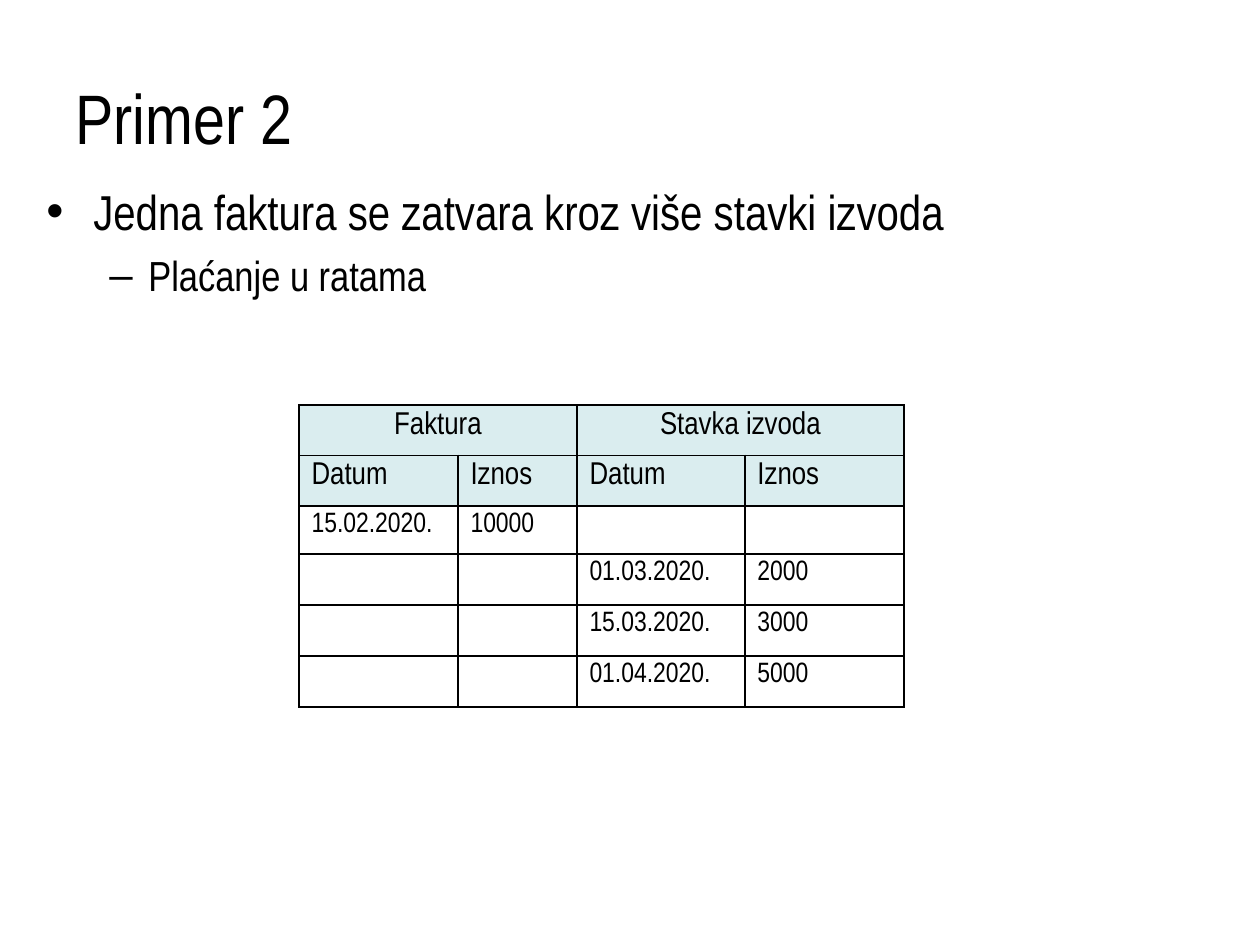
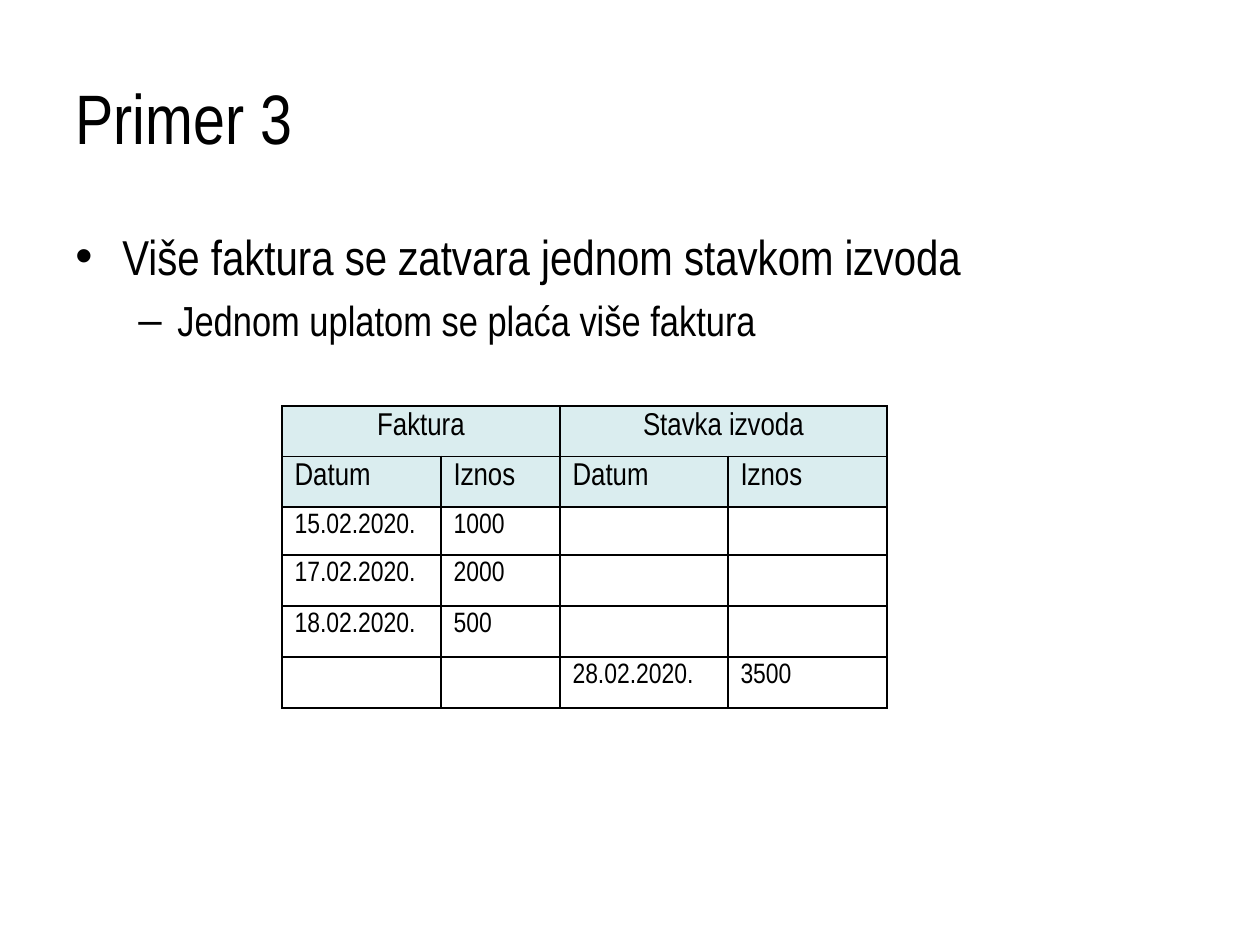
from lxml.etree import SubElement
from pptx import Presentation
from pptx.dml.color import RGBColor
from pptx.enum.text import MSO_ANCHOR as Anchor, PP_ALIGN as Align
from pptx.oxml.ns import qn
from pptx.util import Pt

PX = 914400 // 126
FONT = "Arial Narrow"
INK = "000000"
HEADER_FILL = "DAEDEF"
COLUMN_WIDTHS = [159, 119, 168, 159]
ROW_HEIGHTS = [50, 50, 48, 51, 51, 51]
HEADER_ROWS = [["Faktura", "", "Stavka izvoda", ""],
               ["Datum", "Iznos", "Datum", "Iznos"]]
# marker, left margin, first-line indent, text size, space before
BULLET_LEVELS = [("•", 47, -47, 28, 0), ("–", 102, -39, 24, 5.5)]

EXAMPLES = [
    {"title": "Primer 2",
     "bullets": ["Jedna faktura se zatvara kroz više stavki izvoda",
                 "Plaćanje u ratama"],
     "bullets_at": (34, 175),
     "table_at": (299, 405),
     "rows": [["15.02.2020.", "10000", "", ""],
              ["", "", "01.03.2020.", "2000"],
              ["", "", "15.03.2020.", "3000"],
              ["", "", "01.04.2020.", "5000"]]},
    {"title": "Primer 3",
     "bullets": ["Više faktura se zatvara jednom stavkom izvoda",
                 "Jednom uplatom se plaća više faktura"],
     "bullets_at": (63, 220),
     "table_at": (282, 406),
     "rows": [["15.02.2020.", "1000", "", ""],
              ["17.02.2020.", "2000", "", ""],
              ["18.02.2020.", "500", "", ""],
              ["", "", "28.02.2020.", "3500"]]},
]


def style_text(para, size, align=Align.LEFT):
    para.alignment = align
    for span in para.runs:
        span.font.name = FONT
        span.font.size = Pt(size)
        span.font.color.rgb = RGBColor.from_string(INK)


def add_borders(cell):
    properties = cell._tc.get_or_add_tcPr()
    for side in ("a:lnL", "a:lnR", "a:lnT", "a:lnB"):
        line = SubElement(properties, qn(side), w=str(Pt(1)))
        fill = SubElement(line, qn("a:solidFill"))
        SubElement(fill, qn("a:srgbClr"), val=INK)


deck = Presentation()
deck.slide_width = 1260 * PX
deck.slide_height = 945 * PX
title_only = deck.slide_layouts[5]

for example in EXAMPLES:
    page = deck.slides.add_slide(title_only)

    title = page.shapes.title
    title.left, title.top, title.width, title.height = [n * PX for n in (63, 38, 1134, 157)]
    title.text_frame.text = example["title"]
    title.text_frame.vertical_anchor = Anchor.MIDDLE
    style_text(title.text_frame.paragraphs[0], 40)

    left, top = example["bullets_at"]
    box = page.shapes.add_textbox(left * PX, top * PX, 1134 * PX, 460 * PX)
    box.text_frame.word_wrap = True
    box.text_frame.text = "\n".join(example["bullets"])
    for level, para in enumerate(box.text_frame.paragraphs):
        marker, margin, indent, size, space = BULLET_LEVELS[level]
        para.level = level
        para.space_before = Pt(space)
        properties = para._p.get_or_add_pPr()
        properties.set("marL", str(margin * PX))
        properties.set("indent", str(indent * PX))
        SubElement(properties, qn("a:buFont"), typeface="Arial")
        SubElement(properties, qn("a:buChar"), char=marker)
        style_text(para, size)

    left, top = example["table_at"]
    rows = HEADER_ROWS + example["rows"]
    table = page.shapes.add_table(
        len(rows), len(COLUMN_WIDTHS), left * PX, top * PX,
        sum(COLUMN_WIDTHS) * PX, sum(ROW_HEIGHTS) * PX).table
    table.first_row = table.horz_banding = False
    for column, width in zip(table.columns, COLUMN_WIDTHS):
        column.width = width * PX
    for row, height in zip(table.rows, ROW_HEIGHTS):
        row.height = height * PX

    for row_index, row in enumerate(rows):
        is_header = row_index < len(HEADER_ROWS)
        size = 18 if is_header else 16
        for column_index, words in enumerate(row):
            cell = table.cell(row_index, column_index)
            add_borders(cell)
            if is_header:
                cell.fill.solid()
                cell.fill.fore_color.rgb = RGBColor.from_string(HEADER_FILL)
            else:
                cell.fill.background()
            para = cell.text_frame.paragraphs[0]
            if words:
                para.text = words
                style_text(para, size, Align.CENTER if row_index == 0 else Align.LEFT)
            else:
                # keeps an empty cell from stretching its row
                SubElement(para._p, qn("a:endParaRPr"), sz=str(size * 100))
    for first in (0, 2):
        table.cell(0, first).merge(table.cell(0, first + 1))

deck.save("out.pptx")
